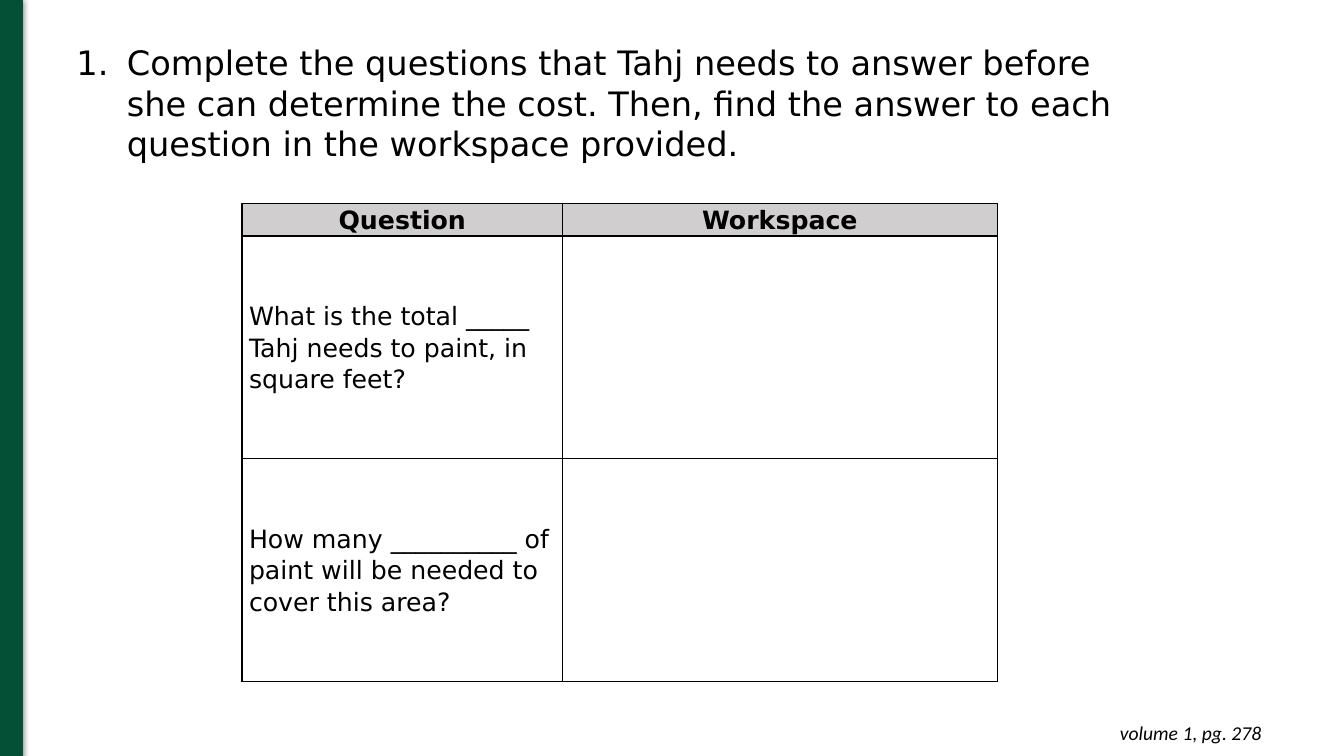
from lxml import etree
from pptx import Presentation
from pptx.dml.color import RGBColor
from pptx.enum.shapes import MSO_SHAPE
from pptx.enum.text import MSO_ANCHOR, PP_ALIGN
from pptx.oxml import parse_xml
from pptx.oxml.ns import nsdecls, qn
from pptx.util import Inches, Pt

RECTANGLE = MSO_SHAPE.RECTANGLE
MIDDLE = MSO_ANCHOR.MIDDLE
LEFT, CENTER, RIGHT = PP_ALIGN.LEFT, PP_ALIGN.CENTER, PP_ALIGN.RIGHT

GREEN = RGBColor(0x03, 0x50, 0x36)
GRAY = RGBColor(0xD0, 0xCE, 0xCE)
BLACK = RGBColor(0x00, 0x00, 0x00)

INSTRUCTION = (
    "Complete the questions that Tahj needs to answer before she can determine "
    "the cost. Then, find the answer to each question in the workspace provided."
)
WORKSHEET = [
    ["Question", "Workspace"],
    ["What is the total _____ Tahj needs to paint, in square feet?", ""],
    ["How many __________ of paint will be needed to cover this area?", ""],
]


class WorksheetPage:
    body_font = "DejaVu Sans"
    footer_font = "Calibri"

    def __init__(self, page):
        self.page = page

    def style(self, paragraph, size, font, align=LEFT, bold=False, italic=False):
        paragraph.alignment = align
        for span in paragraph.runs:
            span.font.name = font
            span.font.size = Pt(size)
            span.font.bold = bold
            span.font.italic = italic
            span.font.color.rgb = BLACK

    def side_bar(self, left, top, width, height):
        bar = self.page.shapes.add_shape(
            RECTANGLE, Inches(left), Inches(top), Inches(width), Inches(height))
        bar.fill.solid()
        bar.fill.fore_color.rgb = GREEN
        bar.line.color.rgb = GREEN
        bar.line.width = Pt(0.75)
        bar.shadow.inherit = False
        effects = bar._element.spPr.find(qn("a:effectLst"))
        effects.append(parse_xml(
            f'<a:outerShdw {nsdecls("a")} blurRad="{Pt(4.5)}" dist="{Pt(1.5)}" '
            'dir="5400000" rotWithShape="0"><a:srgbClr val="000000">'
            '<a:alpha val="50000"/></a:srgbClr></a:outerShdw>'))

    def text_box(self, text, left, top, width, height):
        box = self.page.shapes.add_textbox(
            Inches(left), Inches(top), Inches(width), Inches(height))
        box.text_frame.word_wrap = True
        box.text_frame.text = text
        return box.text_frame

    def footer(self, text, *place):
        frame = self.text_box(text, *place)
        frame.margin_top = frame.margin_bottom = Inches(0.1)
        self.style(frame.paragraphs[0], 14, self.footer_font, RIGHT, italic=True)

    def numbered_instruction(self, text, *place):
        paragraph = self.text_box(text, *place).paragraphs[0]
        properties = paragraph._p.get_or_add_pPr()
        properties.set("marL", str(Inches(0.5)))
        properties.set("indent", str(-Inches(0.5)))
        etree.SubElement(properties, qn("a:buFont"), typeface="+mj-lt")
        etree.SubElement(properties, qn("a:buAutoNum"), type="arabicPeriod")
        self.style(paragraph, 24, self.body_font)

    def cell_borders(self, cell):
        properties = cell._tc.get_or_add_tcPr()
        for position, side in enumerate(("lnL", "lnR", "lnT", "lnB")):
            properties.insert(position, parse_xml(
                f'<a:{side} {nsdecls("a")} w="{Pt(1)}"><a:solidFill>'
                f'<a:srgbClr val="{BLACK}"/></a:solidFill></a:{side}>'))

    def worksheet(self, rows, left, top, widths, heights):
        table = self.page.shapes.add_table(
            len(rows), len(widths), Inches(left), Inches(top),
            Inches(sum(widths)), Inches(sum(heights))).table
        table.first_row = table.horz_banding = False
        for column, width in zip(table.columns, widths):
            column.width = Inches(width)
        for row_number, (row, height) in enumerate(zip(rows, heights)):
            table.rows[row_number].height = Inches(height)
            for column_number, text in enumerate(row):
                self.fill_cell(
                    table.cell(row_number, column_number), text, row_number == 0)

    def fill_cell(self, cell, text, header):
        cell.text_frame.text = text
        cell.vertical_anchor = MIDDLE
        cell.margin_left = cell.margin_right = Inches(0.07)
        cell.margin_top = cell.margin_bottom = 0
        if header:
            cell.fill.solid()
            cell.fill.fore_color.rgb = GRAY
        else:
            cell.fill.background()
        paragraph = cell.text_frame.paragraphs[0]
        paragraph.line_spacing = 1.07
        self.style(paragraph, 18, self.body_font, CENTER if header else LEFT, header)
        self.cell_borders(cell)


def main():
    deck = Presentation()
    deck.slide_width, deck.slide_height = Inches(13.33), Inches(7.5)
    page = WorksheetPage(deck.slides.add_slide(deck.slide_layouts[6]))
    page.side_bar(-0.02, -0.01, 0.24, 7.51)
    page.footer("volume 1, pg. 278", 8, 7.05, 4.61, 0.45)
    page.numbered_instruction(INSTRUCTION, 0.66, 0.37, 10.64, 1.31)
    page.worksheet(WORKSHEET, 2.4, 2.02, (3.18, 4.31), (0.3, 2.21, 2.21))
    deck.save("out.pptx")


if __name__ == "__main__":
    main()
